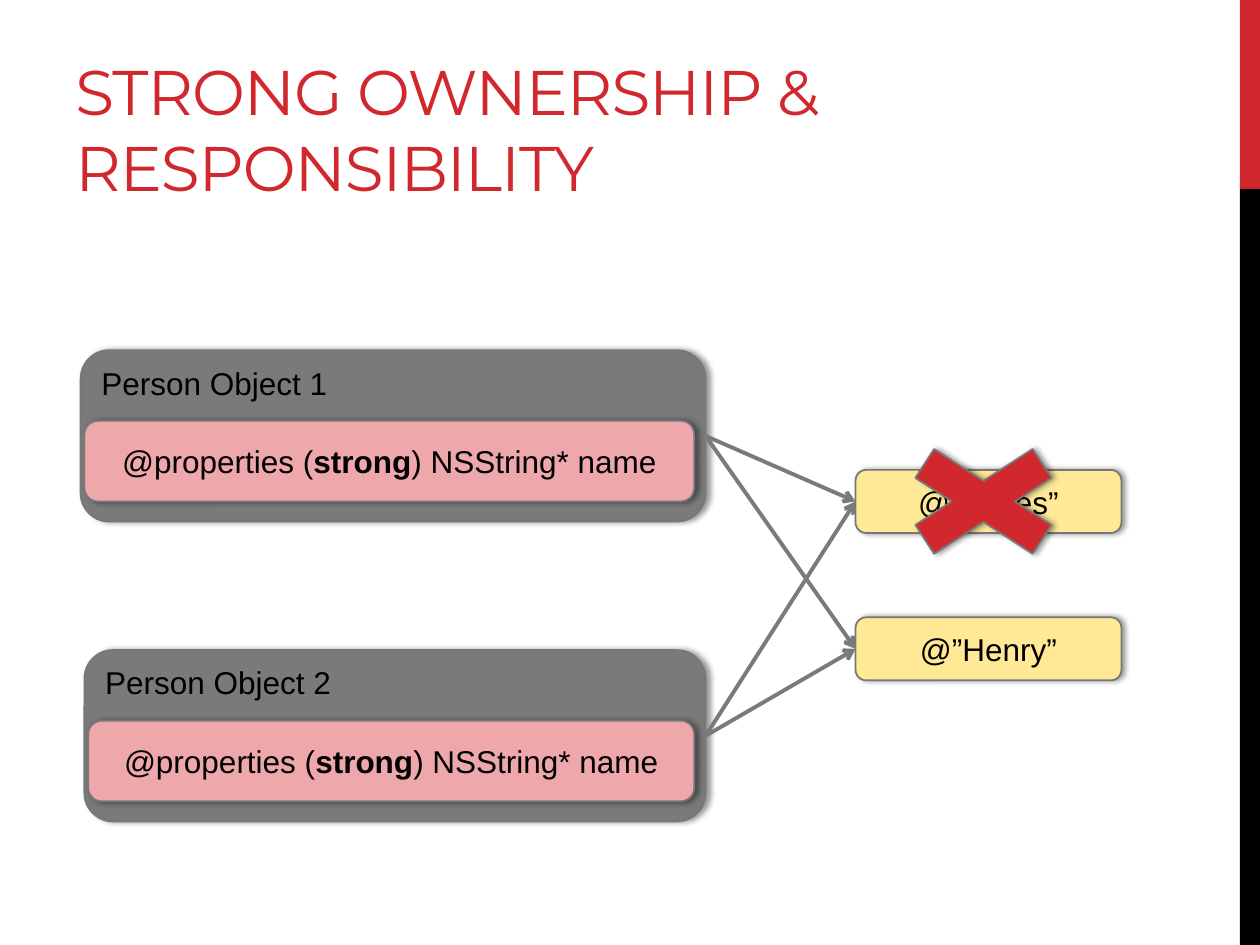
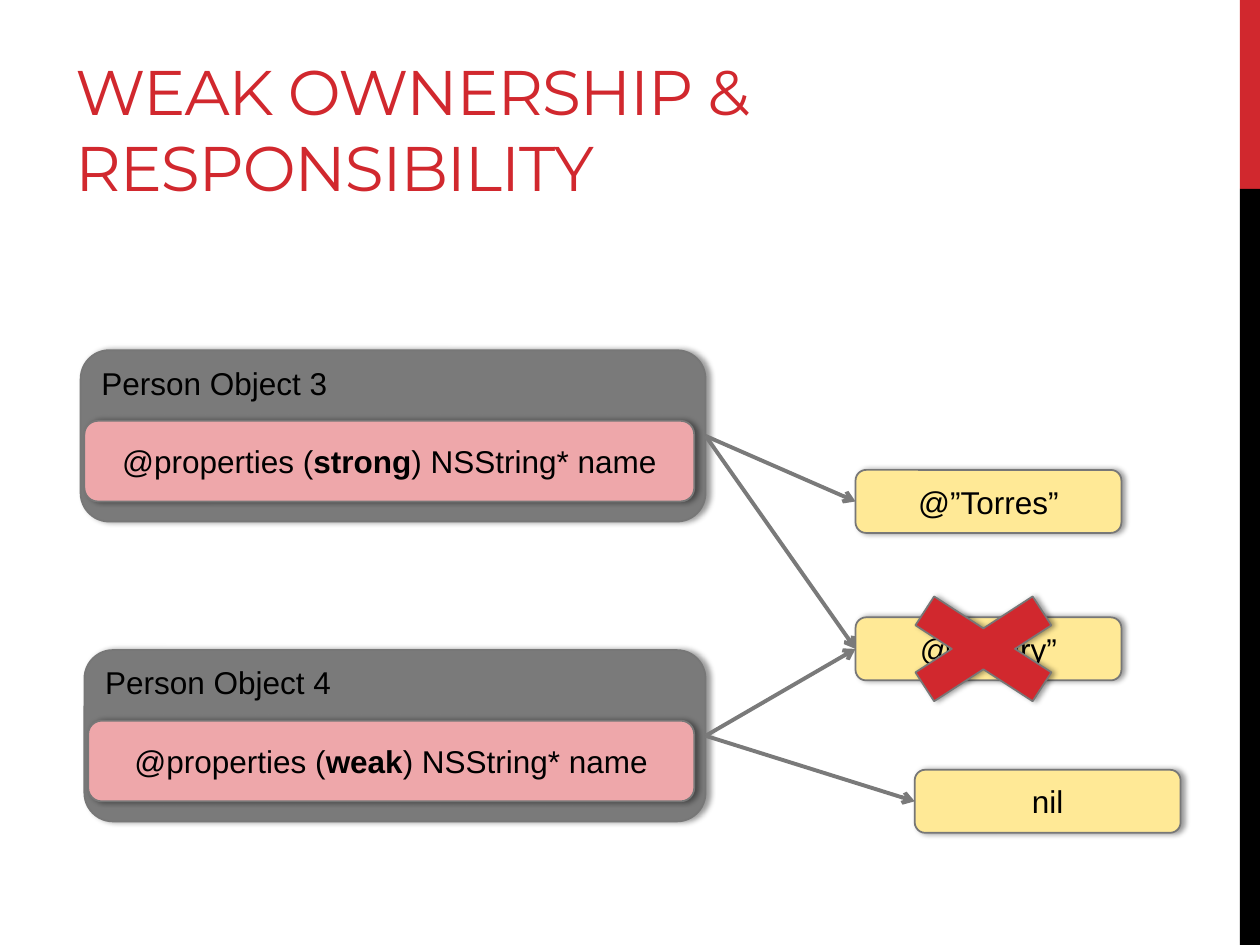
from lxml.etree import SubElement
from pptx import Presentation
from pptx.dml.color import RGBColor
from pptx.enum.shapes import MSO_CONNECTOR, MSO_SHAPE
from pptx.enum.text import MSO_ANCHOR, PP_ALIGN
from pptx.oxml.ns import qn
from pptx.util import Inches, Pt

RED = RGBColor(0xD1, 0x28, 0x2E)
BLACK = RGBColor(0, 0, 0)
GRAY = RGBColor(0x7A, 0x7A, 0x7A)
OUTLINE = RGBColor(0x77, 0x77, 0x77)
PINK = RGBColor(0xEE, 0xA7, 0xAA)
YELLOW = RGBColor(0xFF, 0xE9, 0x96)

TITLE_FONT, BODY_FONT = "Montserrat", "Arial"

TORRES, HENRY, NIL = "@”Torres”", "@”Henry”", "nil"
SLIDES = [
    {
        "title": "STRONG OWNERSHIP & RESPONSIBILITY",
        "persons": [("Person Object 1", "strong"), ("Person Object 2", "strong")],
        "values": [TORRES, HENRY],
        "arrows": [(0, TORRES), (1, TORRES), (1, HENRY), (0, HENRY)],
        "crossed": TORRES,
    },
    {
        "title": "WEAK OWNERSHIP & RESPONSIBILITY",
        "persons": [("Person Object 3", "strong"), ("Person Object 4", "weak")],
        "values": [TORRES, HENRY, NIL],
        "arrows": [(0, TORRES), (1, HENRY), (0, HENRY), (1, NIL)],
        "crossed": HENRY,
    },
]

BAR_LEFT, BAR_W, BAR_SPLIT = 9.84, 0.16, 1.5
PERSON_LEFTS = (0.64, 0.67)
PERSON_TOP, PERSON_PITCH, PERSON_H, PERSON_RIGHT = 2.78, 2.38, 1.36, 5.6
PROPERTY_DX, PROPERTY_DY, PROPERTY_H, PROPERTY_RIGHT = 0.03, 0.56, 0.64, 5.51
VALUE_AT = {TORRES: (6.79, 3.73), HENRY: (6.79, 4.9), NIL: (7.26, 6.11)}
VALUE_W, VALUE_H = 2.11, 0.5
CROSS_LEFT, CROSS_W, CROSS_H = 6.91, 1.79, 1.16
LEFT_SITE, RIGHT_SITE = 1, 3


def add_run(p, text, size=18, font=BODY_FONT, color=BLACK, bold=False):
    r = p.add_run()
    r.text = text
    r.font.size = Pt(size)
    r.font.name = font
    r.font.color.rgb = color
    r.font.bold = bold
    return r


def add_box(s, kind, left, top, width, height, fill, outlined=True):
    sp = s.shapes.add_shape(kind, *map(Inches, (left, top, width, height)))
    sp.fill.solid()
    sp.fill.fore_color.rgb = fill
    sp.shadow.inherit = False
    if not outlined:
        sp.line.fill.background()
        return sp
    sp.line.color.rgb = OUTLINE
    sp.line.width = Pt(1)
    effects = sp.element.spPr.find(qn("a:effectLst"))
    shadow = SubElement(effects, qn("a:outerShdw"), blurRad="40000",
                        dist="23000", dir="0", rotWithShape="0")
    color = SubElement(shadow, qn("a:srgbClr"), val=str(BLACK))
    SubElement(color, qn("a:alpha"), val="40000")
    return sp


def add_label_box(s, left, top, width, height, fill, runs):
    sp = add_box(s, MSO_SHAPE.ROUNDED_RECTANGLE, left, top, width, height, fill)
    tf = sp.text_frame
    tf.word_wrap = True
    tf.vertical_anchor = MSO_ANCHOR.MIDDLE
    p = tf.paragraphs[0]
    p.alignment = PP_ALIGN.CENTER
    for text, bold in runs:
        add_run(p, text, bold=bold)
    return sp


def add_person(s, row, name, ownership):
    left, top = PERSON_LEFTS[row], PERSON_TOP + row * PERSON_PITCH
    sp = add_label_box(s, left, top, PERSON_RIGHT - left, PERSON_H, GRAY,
                       [(name, False)])
    tf = sp.text_frame
    tf.vertical_anchor = MSO_ANCHOR.TOP
    tf.margin_top = Inches(0.04)
    tf.paragraphs[0].alignment = PP_ALIGN.LEFT

    left += PROPERTY_DX
    add_label_box(s, left, top + PROPERTY_DY, PROPERTY_RIGHT - left, PROPERTY_H, PINK,
                  [("@properties (", False), (ownership, True),
                   (") NSString* name", False)])
    return sp


def add_arrow(s, person, value):
    c = s.shapes.add_connector(MSO_CONNECTOR.STRAIGHT, 0, 0, 0, 0)
    c.begin_connect(person, RIGHT_SITE)
    c.end_connect(value, LEFT_SITE)
    c.line.color.rgb = GRAY
    c.line.width = Pt(2.25)
    SubElement(c.line._get_or_add_ln(), qn("a:tailEnd"), type="arrow")
    SubElement(c._element.spPr, qn("a:effectLst"))


def add_frame(s, title):
    add_box(s, MSO_SHAPE.RECTANGLE, BAR_LEFT, 0, BAR_W, BAR_SPLIT, RED, False)
    add_box(s, MSO_SHAPE.RECTANGLE, BAR_LEFT, BAR_SPLIT, BAR_W, 7.5 - BAR_SPLIT,
            BLACK, False)
    tf = s.shapes.add_textbox(*map(Inches, (0.5, 0.17, 7.68, 1.5))).text_frame
    tf.word_wrap = True
    tf.vertical_anchor = MSO_ANCHOR.BOTTOM
    r = add_run(tf.paragraphs[0], title, 36, TITLE_FONT, RED)
    r.font._element.set("spc", "-60")


def build_slide(prs, content):
    s = prs.slides.add_slide(prs.slide_layouts[6])
    add_frame(s, content["title"])
    persons = [add_person(s, row, *person)
               for row, person in enumerate(content["persons"])]
    values = {text: add_label_box(s, *VALUE_AT[text], VALUE_W, VALUE_H, YELLOW,
                                  [(text, False)])
              for text in content["values"]}
    for row, text in content["arrows"]:
        add_arrow(s, persons[row], values[text])
    cross_top = VALUE_AT[content["crossed"]][1] + (VALUE_H - CROSS_H) / 2
    add_box(s, MSO_SHAPE.MATH_MULTIPLY, CROSS_LEFT, cross_top, CROSS_W, CROSS_H, RED)


def main():
    prs = Presentation()
    prs.slide_width, prs.slide_height = Inches(10), Inches(7.5)
    for content in SLIDES:
        build_slide(prs, content)
    prs.save("out.pptx")


if __name__ == "__main__":
    main()
